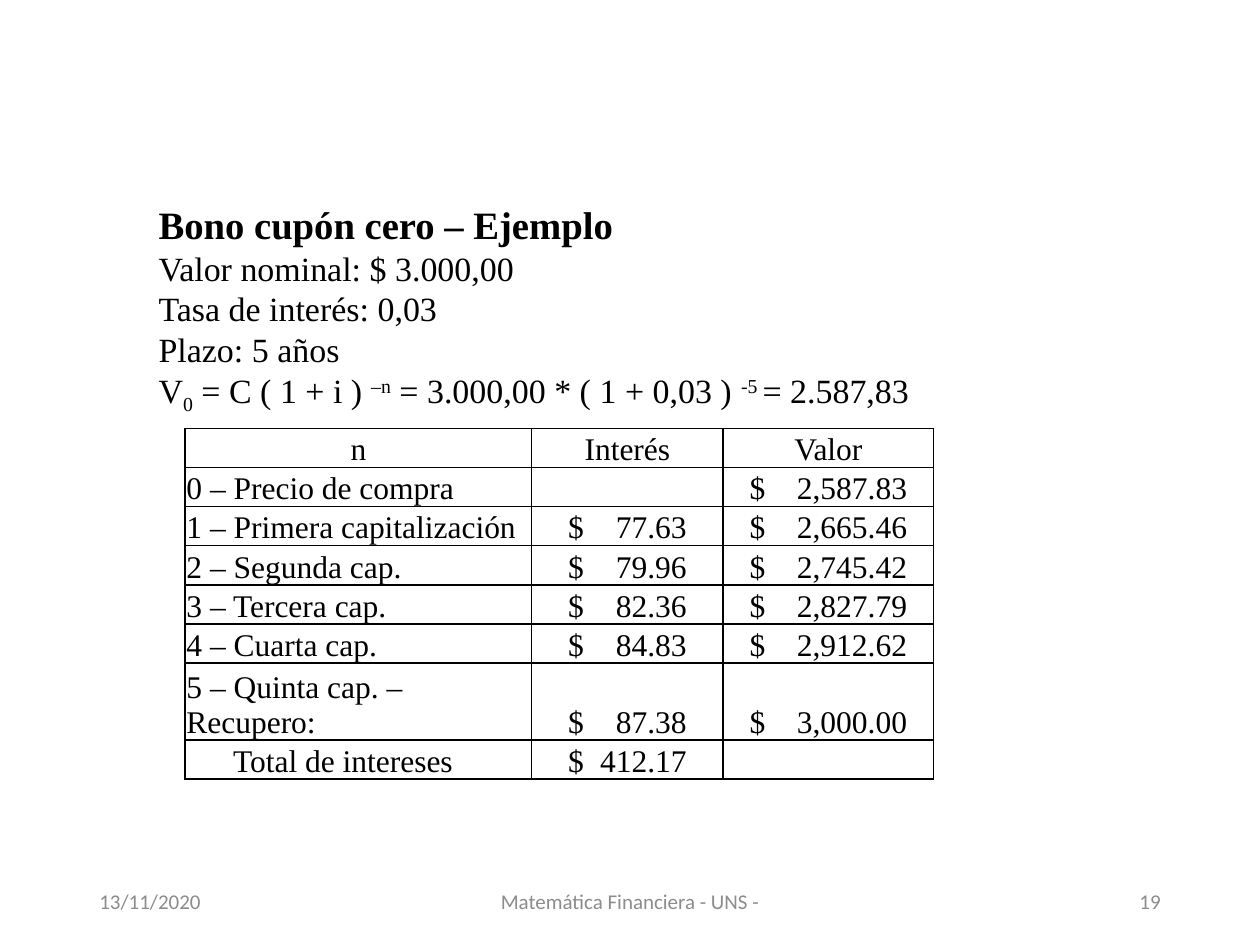
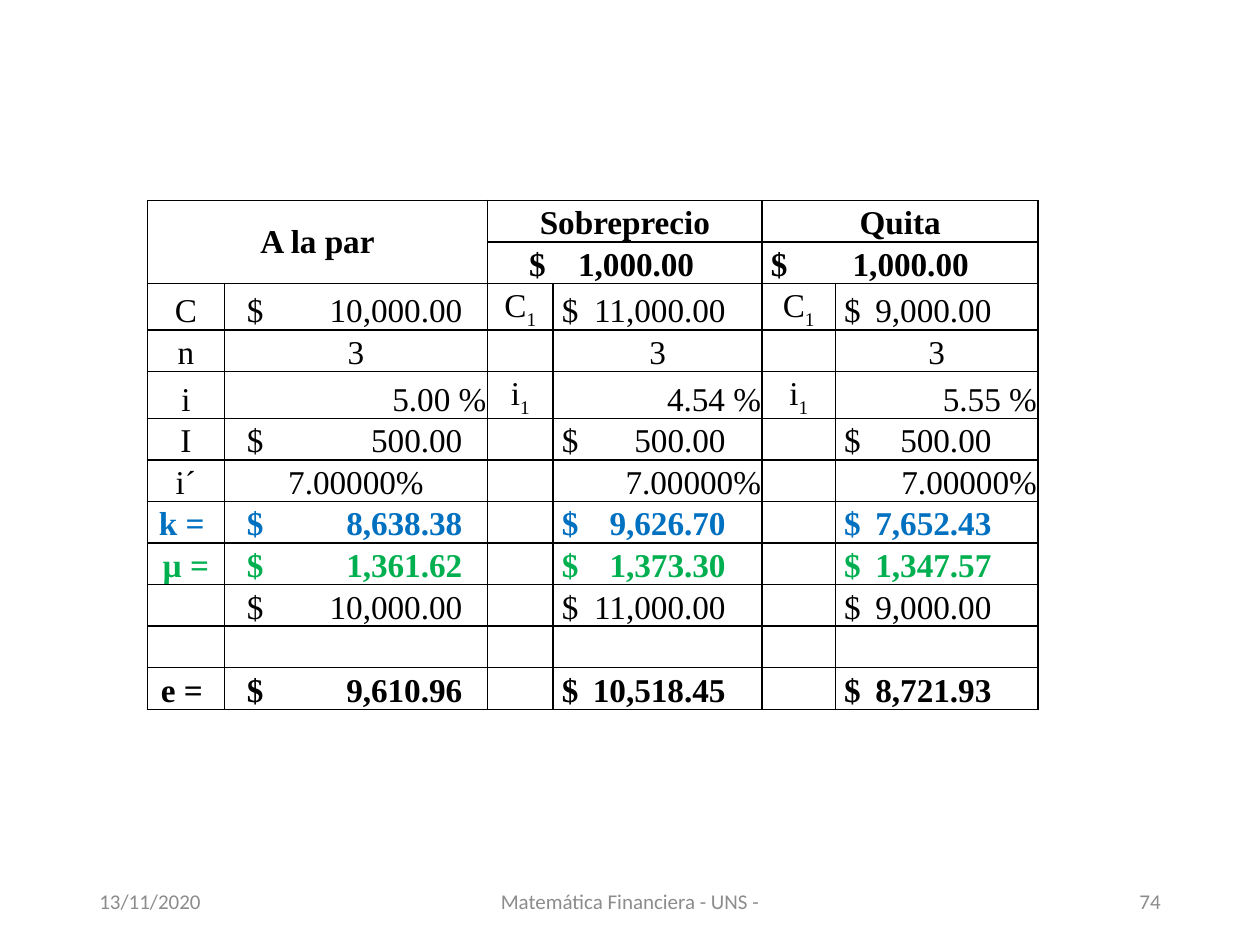
from lxml.etree import SubElement
from pptx import Presentation
from pptx.dml.color import RGBColor
from pptx.enum.text import MSO_ANCHOR as Anchor, MSO_AUTO_SIZE as Fit, PP_ALIGN as Align
from pptx.oxml import parse_xml
from pptx.oxml.ns import nsdecls, qn
from pptx.util import Inches, Pt

BLACK = RGBColor(0, 0, 0)
GREY = RGBColor(0x8C, 0x8C, 0x8C)
BLUE = RGBColor(0x00, 0x70, 0xC0)
GREEN = RGBColor(0x00, 0xB0, 0x50)
SERIF, SANS = "Times New Roman", "Calibri"
SUB, SUP = -25, 30


def write(par, parts, size, color=BLACK, bold=False, face=SERIF):
    """Fill a paragraph from a string or from (text, baseline) pairs."""
    if isinstance(parts, str):
        parts = [(parts, 0)]
    for text, base in parts:
        run = par.add_run()
        run.text = text
        font = run.font
        font.name, font.size, font.bold = face, Pt(size), bold
        font.color.rgb = color
        if base:
            run._r.get_or_add_rPr().set("baseline", str(base * 1000))


def grid(slide, left, top, widths, high, rows, size, tabs, looks):
    """Draw a ruled table; tabs gives (inset, right tab) of money by column or cell."""
    frame = slide.shapes.add_table(len(rows), len(widths), Inches(left), Inches(top),
                                   Inches(sum(widths)), Inches(high * len(rows)))
    table = frame.table
    table.first_row = table.horz_banding = False
    for col, width in zip(table.columns, widths):
        col.width = Inches(width)
    for r, row in enumerate(rows):
        table.rows[r].height = Inches(high)
        color, bold = looks.get(r, (BLACK, False))
        for c, text in enumerate(row):
            cell = table.cell(r, c)
            cell.fill.background()
            cell.vertical_anchor = Anchor.BOTTOM
            cell.margin_left = cell.margin_right = cell.margin_top = Inches(0.01)
            cell.margin_bottom = 0
            props = cell._tc.get_or_add_tcPr()
            for i, side in enumerate(("lnL", "lnR", "lnT", "lnB")):
                props.insert(i, parse_xml(
                    f'<a:{side} {nsdecls("a")} w="12700"><a:solidFill>'
                    f'<a:srgbClr val="{BLACK}"/></a:solidFill></a:{side}>'))
            if not text:
                continue
            par = cell.text_frame.paragraphs[0]
            par.alignment = Align.CENTER
            if text[0] == "$":
                inset, stop = tabs.get((r, c)) or tabs[c]
                par.alignment = Align.LEFT
                cell.margin_left = Inches(inset)
                stops = SubElement(par._p.get_or_add_pPr(), qn("a:tabLst"))
                SubElement(stops, qn("a:tab"), pos=str(Inches(stop)), algn="r")
            write(par, text, size, color, bold)
    return table


prs = Presentation()
prs.slide_width, prs.slide_height = Inches(10), Inches(7.5)
bond, loan = [prs.slides.add_slide(prs.slide_layouts[6]) for _ in range(2)]

# Footers
for slide, page in ((bond, "19"), (loan, "74")):
    for left, width, text, align in (
            (0.69, 2.25, "13/11/2020", Align.LEFT),
            (3.31, 3.38, "Matemática Financiera - UNS -", Align.CENTER),
            (7.06, 2.25, page, Align.RIGHT)):
        box = slide.shapes.add_textbox(Inches(left), Inches(6.95), Inches(width), Inches(0.4))
        frame = box.text_frame
        frame.word_wrap = True
        frame.vertical_anchor = Anchor.MIDDLE
        frame.paragraphs[0].alignment = align
        write(frame.paragraphs[0], text, 12, GREY, face=SANS)

# Zero-coupon bond
box = bond.shapes.add_textbox(Inches(1.16), Inches(1.36), Inches(7.09), Inches(1.97))
frame = box.text_frame
frame.word_wrap = True
frame.auto_size = Fit.SHAPE_TO_FIT_TEXT
head = frame.paragraphs[0]
head.line_spacing = 1.5
write(head, "Bono cupón cero – Ejemplo", 22.1, bold=True)
for line in ("Valor nominal: $ 3.000,00", "Tasa de interés: 0,03", "Plazo: 5 años",
             [("V", 0), ("0", SUB), (" = C ( 1 + i ) ", 0), ("–n", SUP),
              (" = 3.000,00 * ( 1 + 0,03 ) ", 0), ("-5 ", SUP), ("= 2.587,83", 0)]):
    write(frame.add_paragraph(), line, 19.4)
for par in frame.paragraphs:
    par.alignment = Align.JUSTIFY

rows = [
    ("n", "Interés", "Valor"),
    ("0 – Precio de compra", "", "$\t2,587.83"),
    ("1 – Primera capitalización", "$\t77.63", "$\t2,665.46"),
    ("2 – Segunda cap.", "$\t79.96", "$\t2,745.42"),
    ("3 – Tercera cap.", "$\t82.36", "$\t2,827.79"),
    ("4 – Cuarta cap.", "$\t84.83", "$\t2,912.62"),
    ("5 – Quinta cap. – Recupero:", "$\t87.38", "$\t3,000.00"),
    ("Total de intereses", "$\t412.17", ""),
]
table = grid(bond, 1.47, 3.4, (2.75, 1.52, 1.67), 0.3, rows, 18,
             {1: (0.29, 0.94), 2: (0.21, 1.25)}, {})
for r in range(1, len(rows)):
    table.cell(r, 0).text_frame.paragraphs[0].alignment = Align.LEFT
table.cell(len(rows) - 1, 0).margin_left = Inches(0.38)

# Loan at par, above par and below par
C1, I1 = [[(name, 0), ("1", SUB)] for name in "Ci"]
rows = [
    ("A la par", "", "Sobreprecio", "", "Quita", ""),
    ("", "", "$\t1,000.00", "", "$\t1,000.00", ""),
    ("C", "$\t10,000.00", C1, "$\t11,000.00", C1, "$\t9,000.00"),
    ("n", "3", "", "3", "", "3"),
    ("i", "5.00 %", I1, "4.54 %", I1, "5.55 %"),
    ("I", "$\t500.00", "", "$\t500.00", "", "$\t500.00"),
    ("i´", "7.00000%", "", "7.00000%", "", "7.00000%"),
    ("k = ", "$\t8,638.38", "", "$\t9,626.70", "", "$\t7,652.43"),
    ("µ =", "$\t1,361.62", "", "$\t1,373.30", "", "$\t1,347.57"),
    ("", "$\t10,000.00", "", "$\t11,000.00", "", "$\t9,000.00"),
    ("",) * 6,
    ("e = ", "$\t9,610.96", "", "$\t10,518.45", "", "$\t8,721.93"),
]
tabs = {1: (0.18, 1.71), 3: (0.07, 1.3), 5: (0.07, 1.17),
        (1, 2): (0.33, 1.31), (1, 4): (0.07, 1.57)}
looks = {0: (BLACK, True), 1: (BLACK, True), 7: (BLUE, True),
         8: (GREEN, True), 11: (BLACK, True)}
table = grid(loan, 1.17, 1.59, (0.61, 2.09, 0.52, 1.66, 0.58, 1.61), 0.33,
             rows, 19, tabs, looks)
table.cell(0, 0).merge(table.cell(1, 1))
table.cell(0, 0).vertical_anchor = Anchor.MIDDLE
for r in (0, 1):
    for c in (2, 4):
        table.cell(r, c).merge(table.cell(r, c + 1))
for r, c in ((4, 1), (4, 3), (4, 5), (6, 3), (6, 5)):
    table.cell(r, c).text_frame.paragraphs[0].alignment = Align.RIGHT

prs.save("out.pptx")
